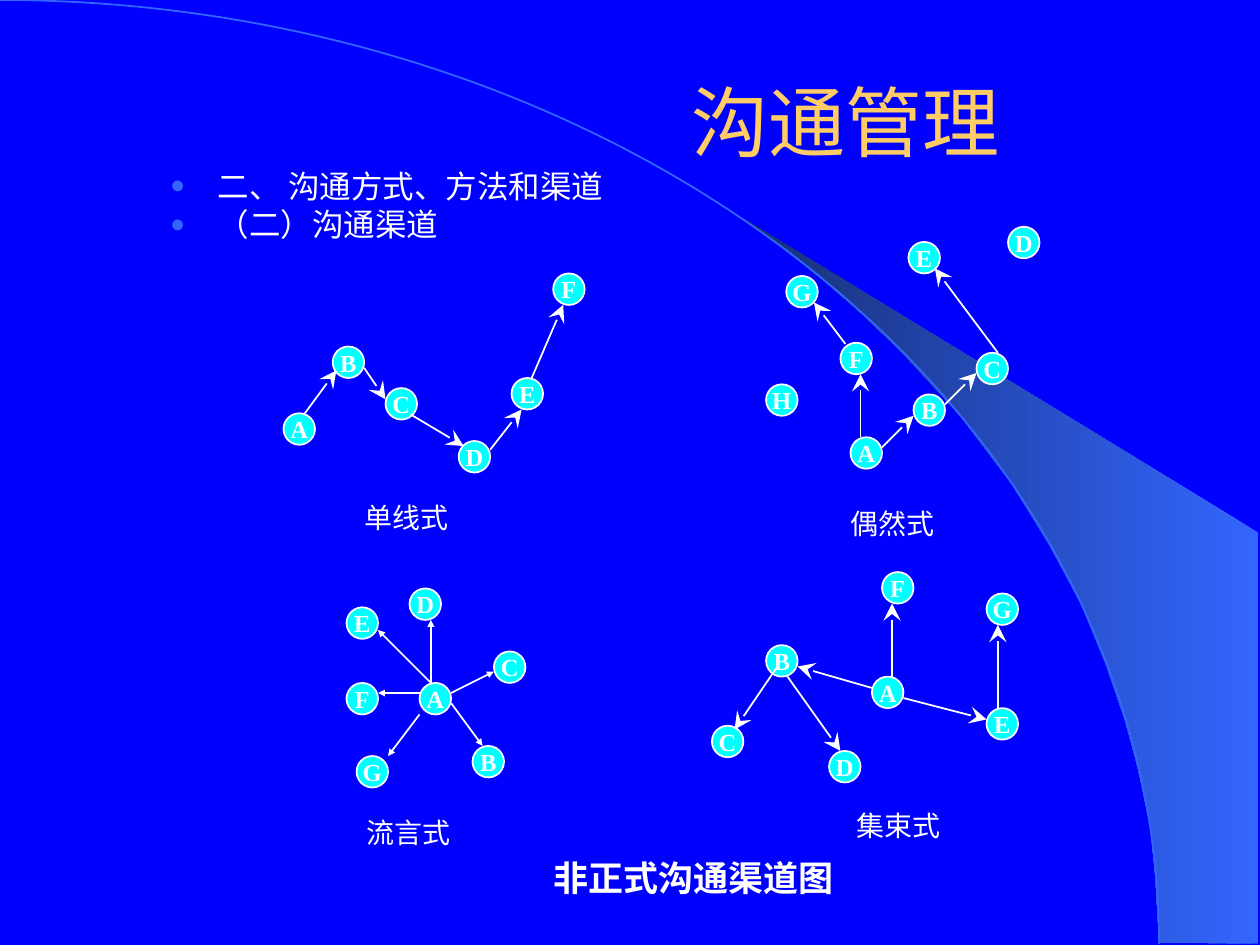
"""Build the slide on informal communication channels with four network diagrams."""
from math import cos, pi, sin

from lxml.etree import SubElement
from pptx import Presentation
from pptx.dml.color import RGBColor
from pptx.enum.shapes import MSO_CONNECTOR as CONN, MSO_SHAPE as SHAPE
from pptx.enum.text import MSO_ANCHOR as ANCHOR, MSO_AUTO_SIZE as AUTO, PP_ALIGN as ALIGN
from pptx.oxml.ns import qn
from pptx.util import Inches, Pt

BLUE = RGBColor(0x00, 0x00, 0xFF)
ACCENT = RGBColor(0x33, 0x66, 0xFF)
NAVY = RGBColor(0x17, 0x2F, 0x75)
GOLD = RGBColor(0xFF, 0xCC, 0x66)
CYAN = RGBColor(0x00, 0xFF, 0xFF)
WHITE = RGBColor(0xFF, 0xFF, 0xFF)
SERIF = "Times New Roman"
NODE = 0.25


def write(p, text, align, color=WHITE, **font):
    p.alignment = align
    r = p.add_run()
    r.text = text
    r.font.color.rgb = color
    for key, value in font.items():
        setattr(r.font, key, value)


def outline(s, points, closed):
    points = [(Inches(x), Inches(y)) for x, y in points]
    builder = s.shapes.build_freeform(*points[0])
    builder.add_line_segments(points[1:], close=closed)
    sp = builder.convert_to_shape()
    sp.shadow.inherit = False
    s.shapes.title.element.addprevious(sp.element)
    return sp


prs = Presentation()
prs.slide_width, prs.slide_height = Inches(10), Inches(7.5)
s = prs.slides.add_slide(prs.slide_layouts[1])
s.background.fill.solid()
s.background.fill.fore_color.rgb = BLUE

beam = outline(s, [
    (9.2, 7.48), (9.99, 7.49), (9.99, 4.23), (5.89, 1.73), (6.24, 1.99), (6.53, 2.22),
    (6.85, 2.5), (7.16, 2.8), (7.62, 3.3), (8.03, 3.84), (8.32, 4.31), (8.58, 4.79),
    (8.78, 5.28), (8.93, 5.72), (9.03, 6.09), (9.13, 6.56), (9.17, 6.96)], True)
beam.fill.gradient()
beam.fill.gradient_angle = 180
for stop, color, position in zip(beam.fill.gradient_stops, (ACCENT, NAVY), (0, 1)):
    stop.color.rgb = color
    stop.position = position
beam.line.fill.background()

angles = [pi / 2 * i / 90 for i in range(91)]
arc = outline(s, [(9.2 * sin(a), 7.49 * (1 - cos(a))) for a in angles], False)
arc.fill.background()
arc.line.color.rgb = ACCENT
arc.line.width = Pt(1)

title, body = s.placeholders
for sp, box, anchor in ((title, (1.17, 0.33, 8.5, 1.25), ANCHOR.MIDDLE),
                        (body, (1.25, 1.33, 8.25, 0.67), ANCHOR.TOP)):
    sp.left, sp.top, sp.width, sp.height = map(Inches, box)
    sp.text_frame.auto_size = AUTO.NONE
    sp.text_frame.vertical_anchor = anchor

p = title.text_frame.paragraphs[0]
write(p, "沟通管理", ALIGN.CENTER, GOLD, size=Pt(44), name="Arial")
p._p.get_or_add_pPr().set("marL", str(Inches(2.58)))

tf = body.text_frame
for i, text in enumerate(("二、 沟通方式、方法和渠道", "（二）沟通渠道")):
    p = tf.add_paragraph() if i else tf.paragraphs[0]
    p.line_spacing = 0.8
    p.space_before = Pt(4.5 if i else 0)
    pPr = p._p.get_or_add_pPr()
    pPr.set("marL", str(Inches(0.38)))
    pPr.set("indent", str(Inches(-0.38)))
    SubElement(SubElement(pPr, qn("a:buClr")), qn("a:srgbClr"), val=str(ACCENT))
    SubElement(pPr, qn("a:buSzPct"), val="80000")
    SubElement(pPr, qn("a:buChar"), char="●")
    write(p, text, ALIGN.LEFT, size=Pt(18), name=SERIF)

STEALTH = dict(type="stealth", w="lg", len="lg")
TRIANGLE = dict(type="triangle", w="sm", len="sm")
diagrams = [
    ("单线式", (2.56, 3.92, 1.33, 0.37), STEALTH,
     {"A": (2.25, 3.28), "B": (2.64, 2.75), "C": (3.06, 3.08), "D": (3.64, 3.5),
      "E": (4.06, 3), "F": (4.39, 2.17)},
     [(2.42, 3.28, 2.67, 2.94), (2.89, 2.92, 3.06, 3.17), (3.26, 3.29, 3.68, 3.54),
      (3.89, 3.57, 4.14, 3.25), (4.22, 3, 4.47, 2.42)]),
    ("流言式", (2.58, 6.42, 1.33, 0.37), TRIANGLE,
     {"A": (3.33, 5.42), "B": (3.75, 5.92), "C": (3.92, 5.17), "D": (3.25, 4.67),
      "E": (2.75, 4.82), "F": (2.75, 5.42), "G": (2.83, 6)},
     [(3.33, 5.67, 3.08, 6), (3.58, 5.58, 3.83, 5.92), (3.58, 5.5, 3.92, 5.33),
      (3.42, 5.42, 3.42, 4.92), (3.42, 5.42, 3, 5), (3.33, 5.5, 3, 5.5)]),
    ("偶然式", (6.42, 3.97, 1.33, 0.37), STEALTH,
     {"A": (6.75, 3.47), "B": (7.25, 3.13), "C": (7.75, 2.8), "E": (7.21, 1.92),
      "D": (8, 1.8), "F": (6.67, 2.72), "G": (6.24, 2.19), "H": (6.08, 3.05)},
     [(6.83, 3.47, 6.83, 2.97), (7, 3.55, 7.25, 3.3), (7.5, 3.21, 7.75, 2.96),
      (7.92, 2.8, 7.42, 2.13), (6.71, 2.73, 6.46, 2.4)]),
    ("集束式", (6.17, 6.37, 1.92, 0.37), STEALTH,
     {"A": (6.92, 5.37), "B": (6.08, 5.12), "C": (5.65, 5.76), "D": (6.58, 5.96),
      "E": (7.83, 5.62), "G": (7.83, 4.71), "F": (7, 4.54)},
     [(6.92, 5.46, 6.33, 5.29), (7.17, 5.54, 7.83, 5.71), (7.92, 5.62, 7.92, 4.96),
      (7.08, 5.37, 7.08, 4.79), (6.17, 5.29, 5.83, 5.79), (6.25, 5.37, 6.67, 5.96)]),
]

captions = [("非正式沟通渠道图", (3.67, 6.75, 3.67, 0.44), 20, True)]
for caption, box, head, nodes, arrows in diagrams:
    captions.append((caption, box, 16, False))
    for letter, (x, y) in nodes.items():
        sp = s.shapes.add_shape(SHAPE.OVAL, *map(Inches, (x, y, NODE, NODE)))
        sp.shadow.inherit = False
        sp.fill.solid()
        sp.fill.fore_color.rgb = CYAN
        sp.line.color.rgb = WHITE
        sp.line.width = Pt(1)
        tf = sp.text_frame
        tf.word_wrap = False
        tf.vertical_anchor = ANCHOR.MIDDLE
        write(tf.paragraphs[0], letter, ALIGN.CENTER, size=Pt(14), name=SERIF, bold=True)
    for ends in arrows:
        arrow = s.shapes.add_connector(CONN.STRAIGHT, *map(Inches, ends))
        arrow.line.color.rgb = WHITE
        arrow.line.width = Pt(1)
        SubElement(arrow.line._get_or_add_ln(), qn("a:tailEnd"), **head)
        SubElement(arrow.element.spPr, qn("a:effectLst"))

for text, box, size, bold in captions:
    tf = s.shapes.add_textbox(*map(Inches, box)).text_frame
    tf.word_wrap = True
    write(tf.paragraphs[0], text, ALIGN.CENTER, size=Pt(size), name=SERIF, bold=bold)

prs.save("out.pptx")
